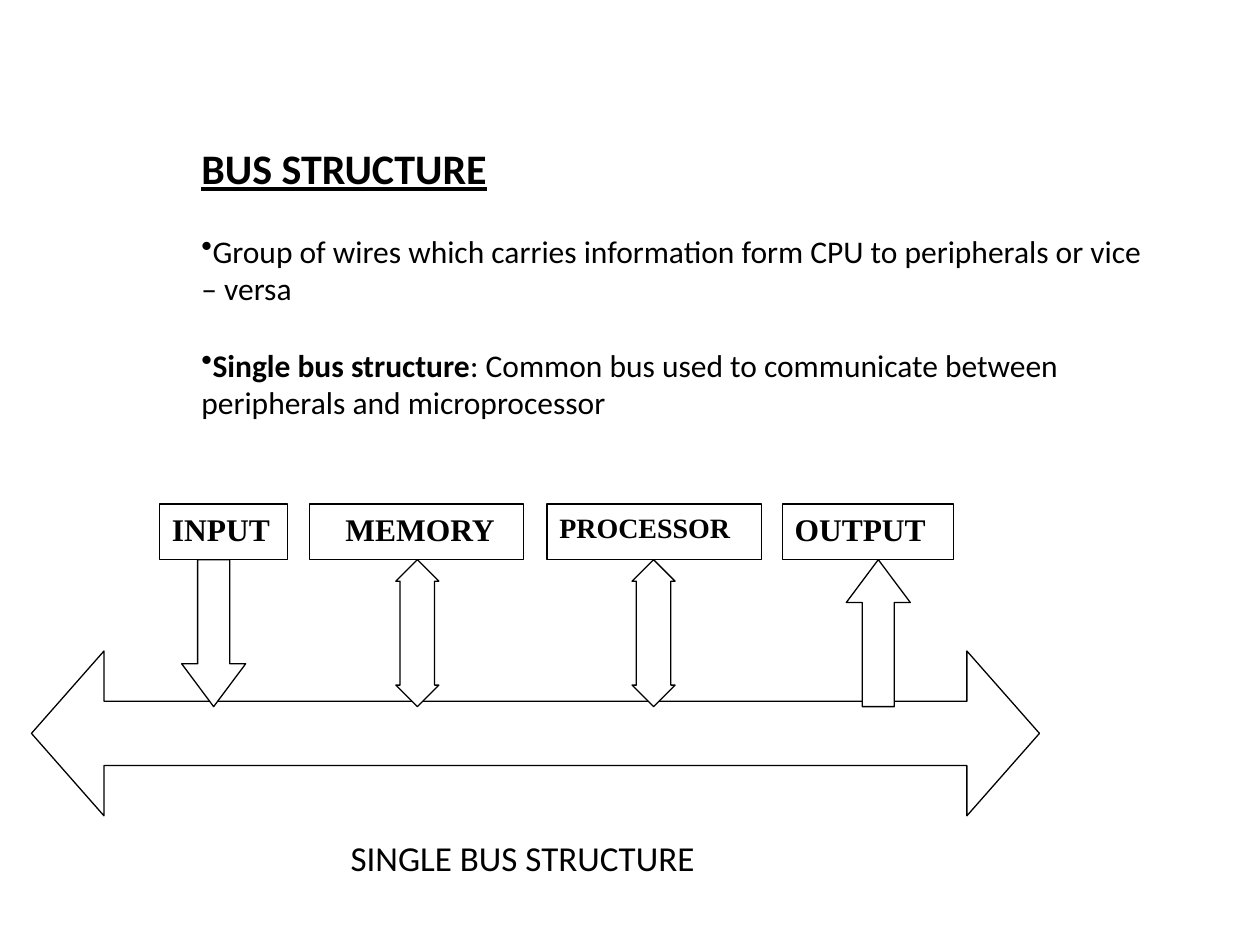
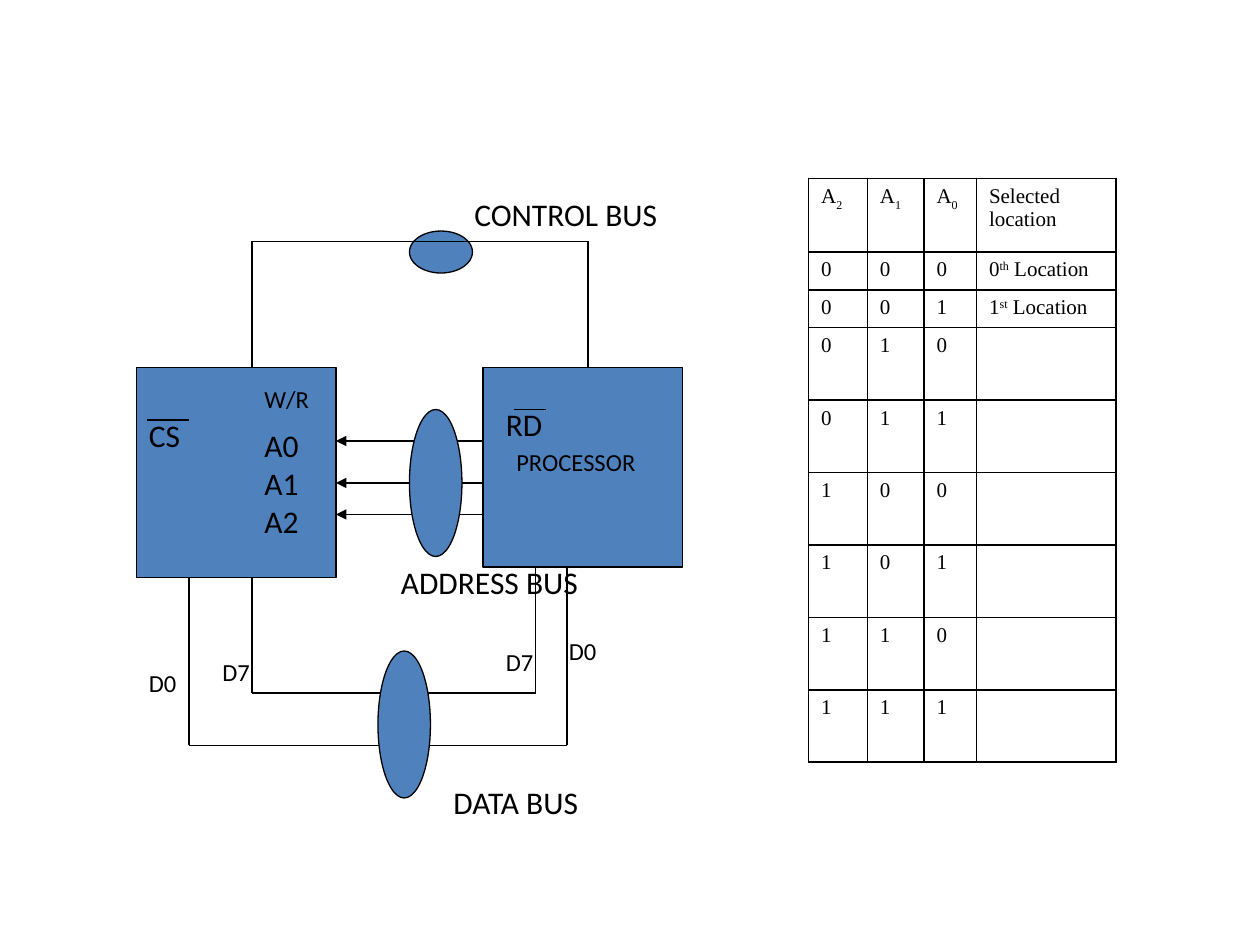
from dataclasses import dataclass
from itertools import pairwise, product

from lxml.etree import SubElement
from pptx import Presentation
from pptx.dml.color import RGBColor
from pptx.enum.shapes import MSO_CONNECTOR, MSO_SHAPE
from pptx.enum.text import MSO_ANCHOR, PP_ALIGN
from pptx.oxml.ns import qn
from pptx.util import Emu, Pt

PX = 7620  # EMU in one px: 120 px to the inch


@dataclass(frozen=True)
class Theme:
    ink: RGBColor = RGBColor(0, 0, 0)
    paper: RGBColor = RGBColor(255, 255, 255)
    block: RGBColor = RGBColor(0x4F, 0x81, 0xBD)
    sans: str = "Calibri"
    serif: str = "Times New Roman"
    title: int = 24
    caption: int = 20
    body: int = 18
    compact: int = 16
    label: int = 14
    cell: int = 12
    line: float = 0.75
    border: int = 1
    gap: int = 22


THEME = Theme()


def px(*lengths):
    return [Emu(length * PX) for length in lengths]


def add_run(paragraph, text, size=THEME.body, font=THEME.sans, bold=False,
            underline=False, baseline=0):
    """Baseline is a percentage: positive raises the text, negative lowers it."""
    run = paragraph.add_run()
    run.text = text
    run.font.size = Pt(size)
    run.font.name = font
    run.font.bold = bold
    run.font.underline = underline
    run.font.color.rgb = THEME.ink
    if baseline:
        run.font._element.set("baseline", str(baseline * 1000))


def write(paragraph, runs, bullet=False, space_before=0, **style):
    """Fill a paragraph from a string, or from (text, style changes) pairs."""
    paragraph.alignment = PP_ALIGN.LEFT
    if bullet:
        properties = paragraph._p.get_or_add_pPr()
        properties.set("marL", "0")
        properties.set("indent", "0")
        SubElement(properties, qn("a:buChar"), char="•")
    if space_before:
        paragraph.space_before = Pt(space_before)
    if isinstance(runs, str):
        runs = [(runs, {})]
    for text, changes in runs:
        add_run(paragraph, text, **{**style, **changes})


def add_text(slide, left, top, width, height, *lines, **style):
    frame = slide.shapes.add_textbox(*px(left, top, width, height)).text_frame
    frame.word_wrap = True
    for index, line in enumerate(lines):
        paragraph = frame.add_paragraph() if index else frame.paragraphs[0]
        write(paragraph, line, **style)
    return frame


def add_block(slide, kind, left, top, width, height, fill=THEME.block, adjustments=()):
    shape = slide.shapes.add_shape(kind, *px(left, top, width, height))
    shape.shadow.inherit = False
    shape.fill.solid()
    shape.fill.fore_color.rgb = fill
    shape.line.color.rgb = THEME.ink
    shape.line.width = Pt(THEME.line)
    for index, value in enumerate(adjustments):
        shape.adjustments[index] = value
    return shape


def add_wire(slide, *points, arrow=False):
    """Join the points in turn with straight lines."""
    for start, end in pairwise(points):
        connector = slide.shapes.add_connector(MSO_CONNECTOR.STRAIGHT, *px(*start, *end))
        connector.line.color.rgb = THEME.ink
        connector.line.width = Pt(THEME.line)
        if arrow:
            SubElement(connector.line._get_or_add_ln(), qn("a:tailEnd"), type="triangle")
        SubElement(connector._element.spPr, qn("a:effectLst"))


def add_borders(cell):
    properties = cell._tc.get_or_add_tcPr()
    for side in ("lnL", "lnR", "lnT", "lnB"):
        line = SubElement(properties, qn(f"a:{side}"), w=str(Pt(THEME.border)))
        fill = SubElement(line, qn("a:solidFill"))
        SubElement(fill, qn("a:srgbClr"), val=str(THEME.ink))


def add_table(slide, left, top, widths, heights, rows):
    size = px(left, top, sum(widths), sum(heights))
    table = slide.shapes.add_table(len(heights), len(widths), *size).table
    table.first_row = table.horz_banding = False
    for column, width in zip(table.columns, px(*widths)):
        column.width = width
    for row, height, contents in zip(table.rows, px(*heights), rows):
        row.height = height
        for cell, content in zip(row.cells, contents):
            add_borders(cell)
            cell.fill.background()
            if content:
                write(cell.text_frame.paragraphs[0], content,
                      size=THEME.cell, font=THEME.serif)


def add_unit(slide, name, left, width, inset=12, size=THEME.body):
    """A named box standing above the single bus."""
    shape = add_block(slide, MSO_SHAPE.RECTANGLE, left, 480, width, 53, THEME.paper)
    frame = shape.text_frame
    frame.word_wrap = True
    frame.vertical_anchor = MSO_ANCHOR.TOP
    frame.margin_left = px(inset)[0]
    write(frame.paragraphs[0], name, size=size, font=THEME.serif, bold=True)


def build_bus_structure(slide):
    frame = add_text(slide, 180, 130, 940, 360, "BUS STRUCTURE",
                     size=THEME.title, bold=True, underline=True)
    points = [
        "Group of wires which carries information form CPU to peripherals or vice – versa",
        [("Single bus structure", {"bold": True}),
         (": Common bus used to communicate between peripherals and microprocessor", {})],
    ]
    for point in points:
        write(frame.add_paragraph(), point, bullet=True, space_before=THEME.gap)
    add_text(slide, 322, 791, 400, 54, "SINGLE BUS STRUCTURE", size=THEME.caption)

    add_block(slide, MSO_SHAPE.LEFT_RIGHT_ARROW, 30, 620, 960, 157,
              THEME.paper, (0.39, 0.44))
    add_unit(slide, "INPUT", 152, 122)
    add_unit(slide, "MEMORY", 295, 204, inset=34)
    add_unit(slide, "PROCESSOR", 521, 204, size=THEME.compact)
    add_unit(slide, "OUTPUT", 745, 163)
    for kind, left, width, head in (
        (MSO_SHAPE.DOWN_ARROW, 173, 61, 0.67),
        (MSO_SHAPE.UP_DOWN_ARROW, 377, 41, 0.8),
        (MSO_SHAPE.UP_DOWN_ARROW, 602, 41, 0.8),
        (MSO_SHAPE.UP_ARROW, 806, 61, 0.67),
    ):
        add_block(slide, kind, left, 533, width, 140, THEME.paper, (0.5, head))


def location_rows():
    yield [*([("A", {}), (str(bit), {"baseline": -30})] for bit in (2, 1, 0)),
           "Selected location"]
    suffixes = ("th", "st")
    for number, bits in enumerate(product("01", repeat=3)):
        location = None
        if number < len(suffixes):
            location = [(str(number), {}), (suffixes[number], {"baseline": 30}),
                        (" Location", {})]
        yield [*bits, location]


def build_bus_wiring(slide):
    add_table(slide, 770, 170, (56, 54, 50, 133), (70, 36, 36, *[69] * 6),
              location_rows())
    add_block(slide, MSO_SHAPE.RECTANGLE, 130, 350, 190, 200)
    add_block(slide, MSO_SHAPE.RECTANGLE, 460, 350, 190, 190)

    add_wire(slide, (180, 550), (180, 710), (540, 710), (540, 540))
    add_wire(slide, (240, 550), (240, 660), (510, 660), (510, 540))
    for y in (420, 460, 490):
        add_wire(slide, (460, y), (320, y), arrow=True)

    for left, top, width, height in (
        (390, 390, 50, 140), (360, 620, 50, 140), (390, 220, 60, 40),
    ):
        add_block(slide, MSO_SHAPE.OVAL, left, top, width, height)
    add_wire(slide, (560, 350), (560, 230), (240, 230), (240, 350))

    for text, left, top, width in (
        ("D0", 530, 600, 60), ("D0", 130, 630, 60),
        ("D7", 200, 620, 60), ("D7", 470, 610, 60),
        ("PROCESSOR", 480, 420, 250), ("W/R", 240, 360, 90),
    ):
        add_text(slide, left, top, width, 40, text, size=THEME.label)
    for text, left, top, width in (
        ("RD", 470, 380, 80), ("CS", 130, 390, 80), ("CONTROL BUS", 440, 180, 290),
        ("ADDRESS BUS", 370, 530, 260), ("DATA BUS", 420, 740, 190),
    ):
        add_text(slide, left, top, width, 48, text)
    add_text(slide, 240, 400, 70, 120, "A0", "A1", "A2")
    add_wire(slide, (490, 390), (520, 390))
    add_wire(slide, (140, 400), (180, 400))


def main():
    presentation = Presentation()
    presentation.slide_width, presentation.slide_height = px(1200, 900)
    blank = presentation.slide_layouts[6]
    for build in (build_bus_structure, build_bus_wiring):
        build(presentation.slides.add_slide(blank))
    presentation.save("out.pptx")


if __name__ == "__main__":
    main()
